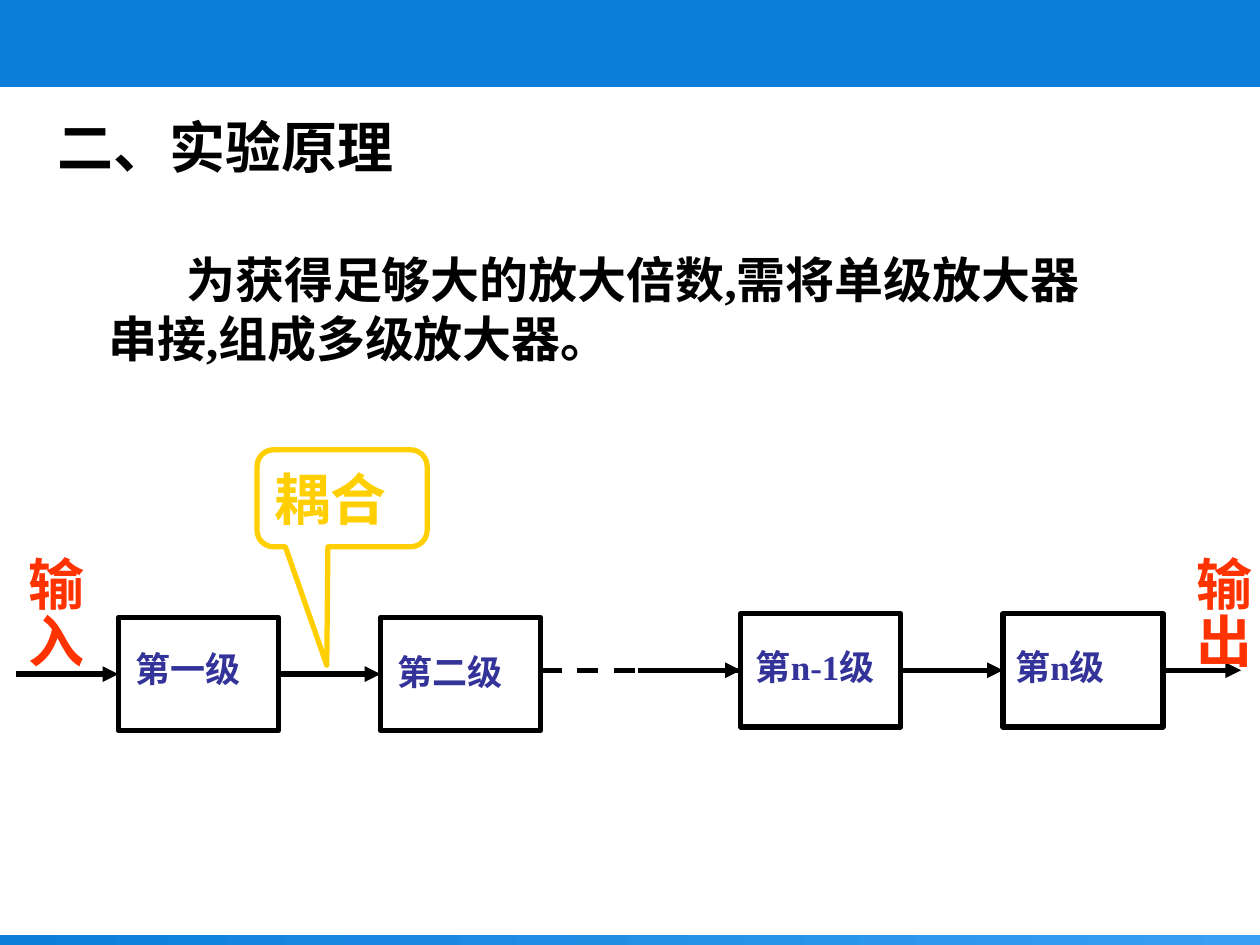
import pptx
import pptx.util
import pptx.dml.color
import pptx.enum.dml
import pptx.enum.shapes
import pptx.enum.text
from pptx.oxml.ns import qn
from lxml import etree

Inches = pptx.util.Inches
SHAPE = pptx.enum.shapes.MSO_SHAPE
TOP, LEFT, BOTTOM, RIGHT = range(4)


def rgb(value):
    return pptx.dml.color.RGBColor.from_string(value)


class Deck:
    """Holds the style and the current slide."""

    black, blue, sky = "000000", "0C7ED9", "389FF4"
    yellow, red, indigo = "FFCF01", "FF3300", "333399"
    font = {"name": "Times New Roman", "bold": True}
    line_width = pptx.util.Pt(3)

    def __init__(self, prs):
        self.s = prs.slides.add_slide(prs.slide_layouts[6])

    def shape(self, kind, x, y, w, h, line=None):
        sp = self.s.shapes.add_shape(kind, *map(Inches, (x, y, w, h)))
        sp.shadow.inherit = False
        sp.fill.background()
        if line:
            sp.line.color.rgb = rgb(line)
            sp.line.width = self.line_width
        else:
            sp.line.fill.background()
        return sp

    def bar(self, y, h, left, right):
        """Full-width band, fading from the left colour to the right one."""
        sp = self.shape(SHAPE.RECTANGLE, 0, y, 10, h)
        if left == right:
            sp.fill.solid()
            sp.fill.fore_color.rgb = rgb(left)
            return
        sp.fill.gradient()
        sp.fill.gradient_angle = 0
        for stop, color in zip(sp.fill.gradient_stops, (left, right)):
            stop.color.rgb = rgb(color)

    def label(self, sp, text, size, color, indent=0, **frame):
        """Put styled text into a shape; frame holds text frame settings."""
        tf = sp.text_frame
        for name, value in frame.items():
            setattr(tf, name, value)
        p = tf.paragraphs[0]
        p.alignment = pptx.enum.text.PP_ALIGN.LEFT
        if indent:
            p._p.get_or_add_pPr().set("indent", str(Inches(indent)))
        r = p.add_run()
        r.text = text
        for name, value in {**self.font, "size": pptx.util.Pt(size)}.items():
            setattr(r.font, name, value)
        r.font.color.rgb = rgb(color)

    def text(self, x, y, w, h, text, size, color, indent=0, vertical=False):
        sp = self.s.shapes.add_textbox(*map(Inches, (x, y, w, h)))
        self.label(sp, text, size, color, indent, word_wrap=True)
        if vertical:
            sp.text_frame._txBody.bodyPr.set("vert", "eaVert")

    def line(self, x1, x2, y, start=None, end=None, dashed=False):
        """Arrow or dashed line; start and end are the boxes it joins."""
        c = self.s.shapes.add_connector(
            pptx.enum.shapes.MSO_CONNECTOR.STRAIGHT,
            *map(Inches, (x1, y, x2, y)))
        if start is not None:
            c.begin_connect(start, RIGHT)
        if end is not None:
            c.end_connect(end, LEFT)
        c.line.color.rgb = rgb(self.black)
        c.line.width = self.line_width
        if dashed:
            c.line.dash_style = pptx.enum.dml.MSO_LINE.DASH
        else:
            ln = c.line._get_or_add_ln()
            etree.SubElement(ln, qn("a:tailEnd"), type="triangle")
        etree.SubElement(c._element.spPr, qn("a:effectLst"))


def main():
    prs = pptx.Presentation()
    prs.slide_width, prs.slide_height = Inches(10), Inches(7.5)
    d = Deck(prs)

    d.bar(7.42, 0.08, d.blue, d.sky)
    d.bar(0, 0.69, d.blue, d.blue)

    box_w, box_h = 1.27, 0.9
    stages = [  # name, box left, box top, name left, name top
        ("第一级", 0.94, 4.9, 0.98, 5.09),
        ("第二级", 3.02, 4.9, 3.06, 5.11),
        ("第n-1级", 5.88, 4.87, 5.9, 5.07),
        ("第n级", 7.96, 4.87, 7.96, 5.07),
    ]
    first, second, third, last = [
        d.shape(SHAPE.RECTANGLE, x, y, box_w, box_h, d.black)
        for _, x, y, _, _ in stages]
    for name, _, _, x, y in stages:
        d.text(x, y, 1.5, 0.43, name, 20, d.indigo)

    left_y, right_y = 5.35, 5.32
    d.line(0.13, 0.94, left_y, end=first)
    d.line(2.21, 3.02, left_y, first, second)
    d.line(4.29, 5.88, right_y, end=third, dashed=True)
    d.line(5.06, 5.88, right_y, end=third)
    d.line(7.15, 7.96, right_y, third, last)
    d.line(9.23, 9.85, right_y, start=last)

    for name, x in (("输入", 0.02), ("输出", 9.29)):
        d.text(x, 4.32, 0.73, 1.21, name, 32, d.red, vertical=True)

    callout = d.shape(SHAPE.ROUNDED_RECTANGULAR_CALLOUT,
                      2.04, 3.57, 1.35, 0.77, d.yellow)
    for i, value in enumerate((-0.09, 1.72, 0.17)):
        callout.adjustments[i] = value
    d.label(callout, "耦合", 32, d.yellow, word_wrap=False,
            vertical_anchor=pptx.enum.text.MSO_ANCHOR.MIDDLE)

    d.text(0.36, 0.84, 6.42, 0.63, "二、实验原理", 32, d.black)
    d.text(0.76, 1.93, 8.18, 1.03,
           "为获得足够大的放大倍数,需将单级放大器串接,组成多级放大器。",
           28, d.black, indent=0.62)

    prs.save("out.pptx")


if __name__ == "__main__":
    main()
